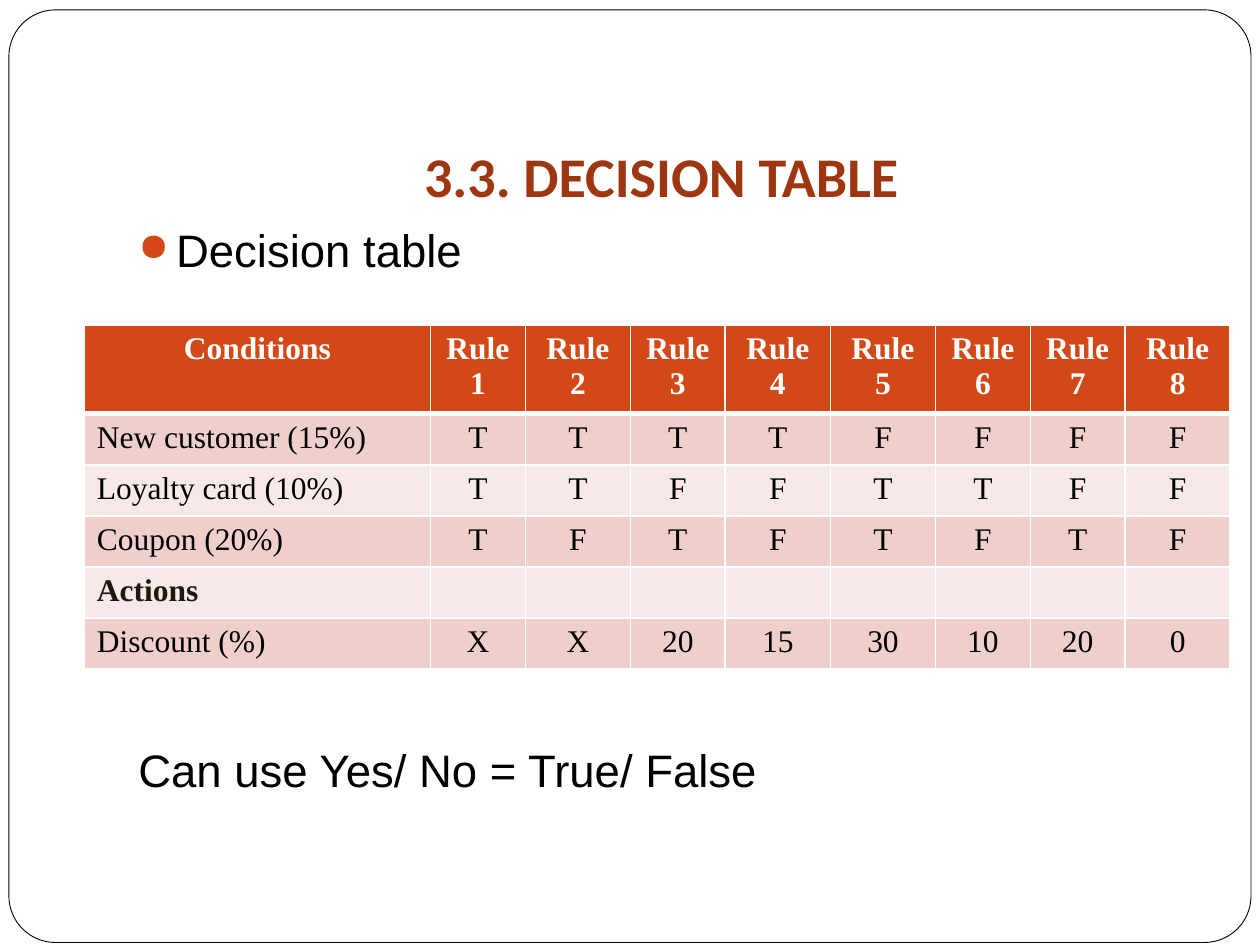
from lxml.etree import SubElement
from pptx import Presentation
from pptx.dml.color import RGBColor
from pptx.enum.shapes import MSO_SHAPE as Preset
from pptx.enum.text import MSO_ANCHOR as Anchor, PP_ALIGN as Align
from pptx.oxml.ns import qn
from pptx.util import Cm, Pt

ACCENT, WHITE, BLACK = "D34817", "FFFFFF", "000000"
BANDS = ("EFCFCC", "F7E9E8")
COLUMN_WIDTHS = (6.98, 1.91, 2.12, 1.91, 2.12, 2.12, 1.91, 1.91, 2.12)
HEADER_HEIGHT, ROW_HEIGHT = 1.65, 1.03
ROWS = (
    ("Conditions", *(f"Rule {number}" for number in range(1, 9))),
    ("New customer (15%)", *"TTTTFFFF"),
    ("Loyalty card (10%)", *"TTFFTTFF"),
    ("Coupon (20%)", *"TFTFTFTF"),
    ("Actions", *[""] * 8),
    ("Discount (%)", "X", "X", "20", "15", "30", "10", "20", "0"),
)


def color(value):
    """Turn a hex string into a colour."""
    return RGBColor.from_string(value)


def write(paragraph, text, font, size, fill=BLACK, bold=False, align=Align.LEFT):
    """Put one formatted run into a paragraph."""
    paragraph.alignment = align
    run = paragraph.add_run()
    run.text = text
    run.font.name, run.font.size, run.font.bold = font, Pt(size), bold
    run.font.color.rgb = color(fill)


def add_bullet(paragraph, indent):
    """Give a paragraph a coloured round bullet with a hanging indent."""
    properties = paragraph._p.get_or_add_pPr()
    properties.set("marL", str(Cm(indent)))
    properties.set("indent", str(-Cm(indent)))
    bullet_color = SubElement(properties, qn("a:buClr"))
    SubElement(bullet_color, qn("a:srgbClr"), val=ACCENT)
    SubElement(properties, qn("a:buSzPct"), val="85000")
    SubElement(properties, qn("a:buChar"), char="●")


def set_borders(cell, **widths):
    """Draw white cell borders with the given widths in points."""
    properties = cell._tc.get_or_add_tcPr()
    for side in "LRTB":
        line = SubElement(properties, qn(f"a:ln{side}"), w=str(Pt(widths.get(side, 1))))
        fill = SubElement(line, qn("a:solidFill"))
        SubElement(fill, qn("a:srgbClr"), val=WHITE)


def add_frame(slide, left, top, width, height):
    """Add the rounded outline around the slide."""
    shape = slide.shapes.add_shape(
        Preset.ROUNDED_RECTANGLE, Cm(left), Cm(top), Cm(width), Cm(height))
    shape.adjustments[0] = 0.05
    shape.shadow.inherit = False
    shape.fill.solid()
    shape.fill.fore_color.rgb = color(WHITE)
    shape.line.color.rgb = color(BLACK)
    shape.line.width = Pt(0.5)


def add_text_frame(slide, left, top, width, height):
    """Add a wrapping text box and return its text frame."""
    box = slide.shapes.add_textbox(Cm(left), Cm(top), Cm(width), Cm(height))
    box.text_frame.word_wrap = True
    return box.text_frame


def add_title(slide, left, top, width, height):
    """Add the centred heading at the bottom of its box."""
    frame = add_text_frame(slide, left, top, width, height)
    frame.vertical_anchor = Anchor.BOTTOM
    frame.margin_bottom = Cm(0.25)
    write(frame.paragraphs[0], "3.3. DECISION TABLE", "Calibri", 32,
          fill="9E3611", bold=True, align=Align.CENTER)


def add_body(slide, left, top, width, height):
    """Add the bullet above the table and the remark below it."""
    frame = add_text_frame(slide, left, top, width, height)
    frame.margin_top = Cm(0.23)
    bullet = frame.paragraphs[0]
    write(bullet, "Decision table", "Arial", 26)
    add_bullet(bullet, 0.76)
    remark = frame.add_paragraph()
    remark.space_before = Pt(266)
    write(remark, "Can use Yes/ No = True/ False", "Arial", 26)


def add_decision_table(slide, left, top):
    """Add the table of conditions, rules and actions."""
    height = HEADER_HEIGHT + ROW_HEIGHT * (len(ROWS) - 1)
    table = slide.shapes.add_table(
        len(ROWS), len(COLUMN_WIDTHS), Cm(left), Cm(top),
        Cm(sum(COLUMN_WIDTHS)), Cm(height)).table
    for column, width in zip(table.columns, COLUMN_WIDTHS):
        column.width = Cm(width)
    for row_index, values in enumerate(ROWS):
        header = row_index == 0
        table.rows[row_index].height = Cm(HEADER_HEIGHT if header else ROW_HEIGHT)
        for column_index, text in enumerate(values):
            cell = table.cell(row_index, column_index)
            set_borders(cell, B=3 if header else 1, T=3 if row_index == 1 else 1)
            cell.fill.solid()
            cell.fill.fore_color.rgb = color(
                ACCENT if header else BANDS[(row_index - 1) % 2])
            if not text:
                continue
            section = text == "Actions"
            write(cell.text_frame.paragraphs[0], text, "Times New Roman", 18,
                  fill=WHITE if header else "1C1911" if section else BLACK,
                  bold=header or section,
                  align=Align.CENTER if header or column_index else Align.LEFT)


def main():
    """Build and save the presentation."""
    presentation = Presentation()
    presentation.slide_width, presentation.slide_height = Cm(25.4), Cm(19.05)
    slide = presentation.slides.add_slide(presentation.slide_layouts[6])
    add_frame(slide, 0.18, 0.2, 25.04, 18.8)
    add_title(slide, 2.54, 1.27, 21.59, 3.18)
    add_body(slide, 2.54, 4.24, 21.59, 13.54)
    add_decision_table(slide, 1.7, 6.56)
    presentation.save("out.pptx")


if __name__ == "__main__":
    main()
